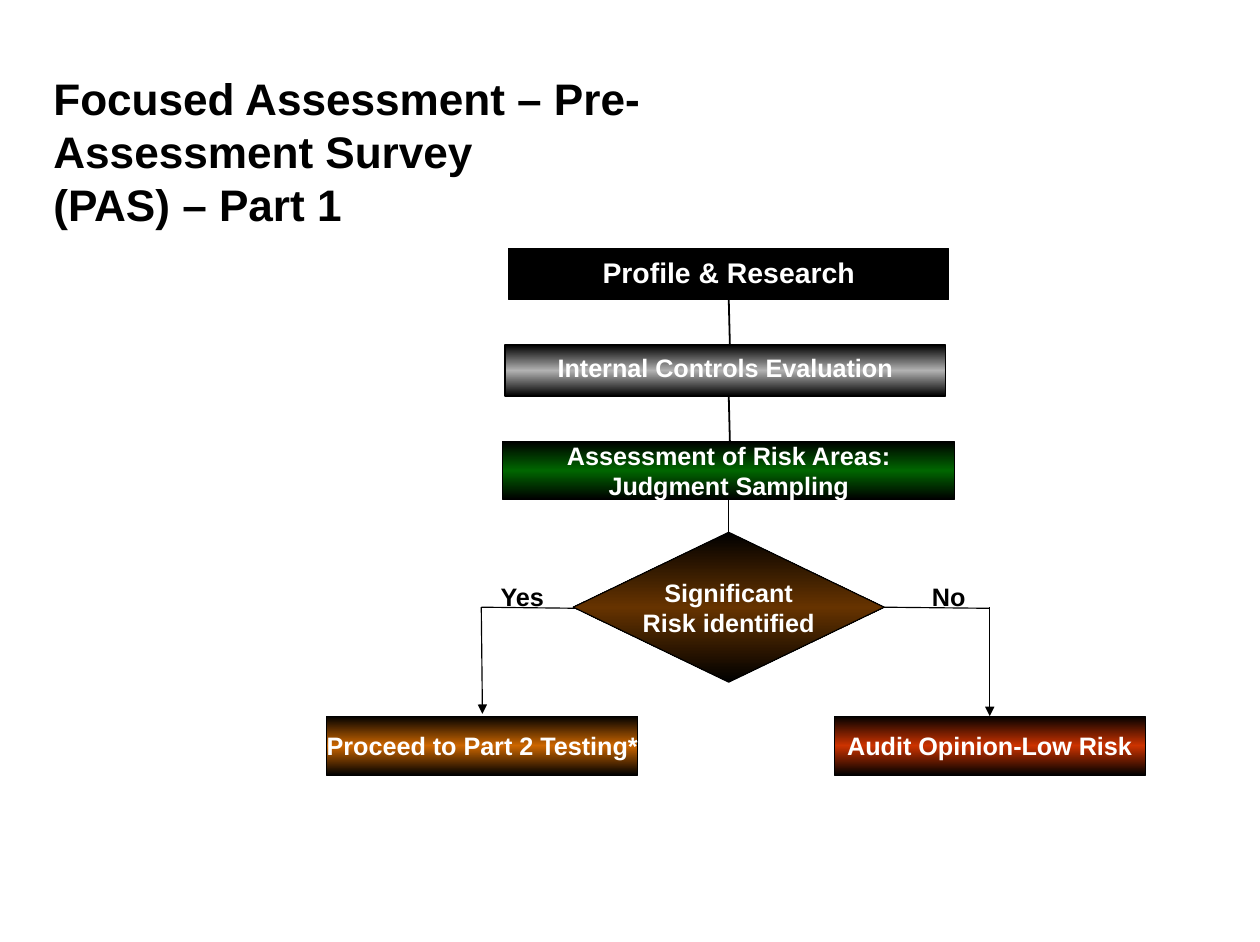
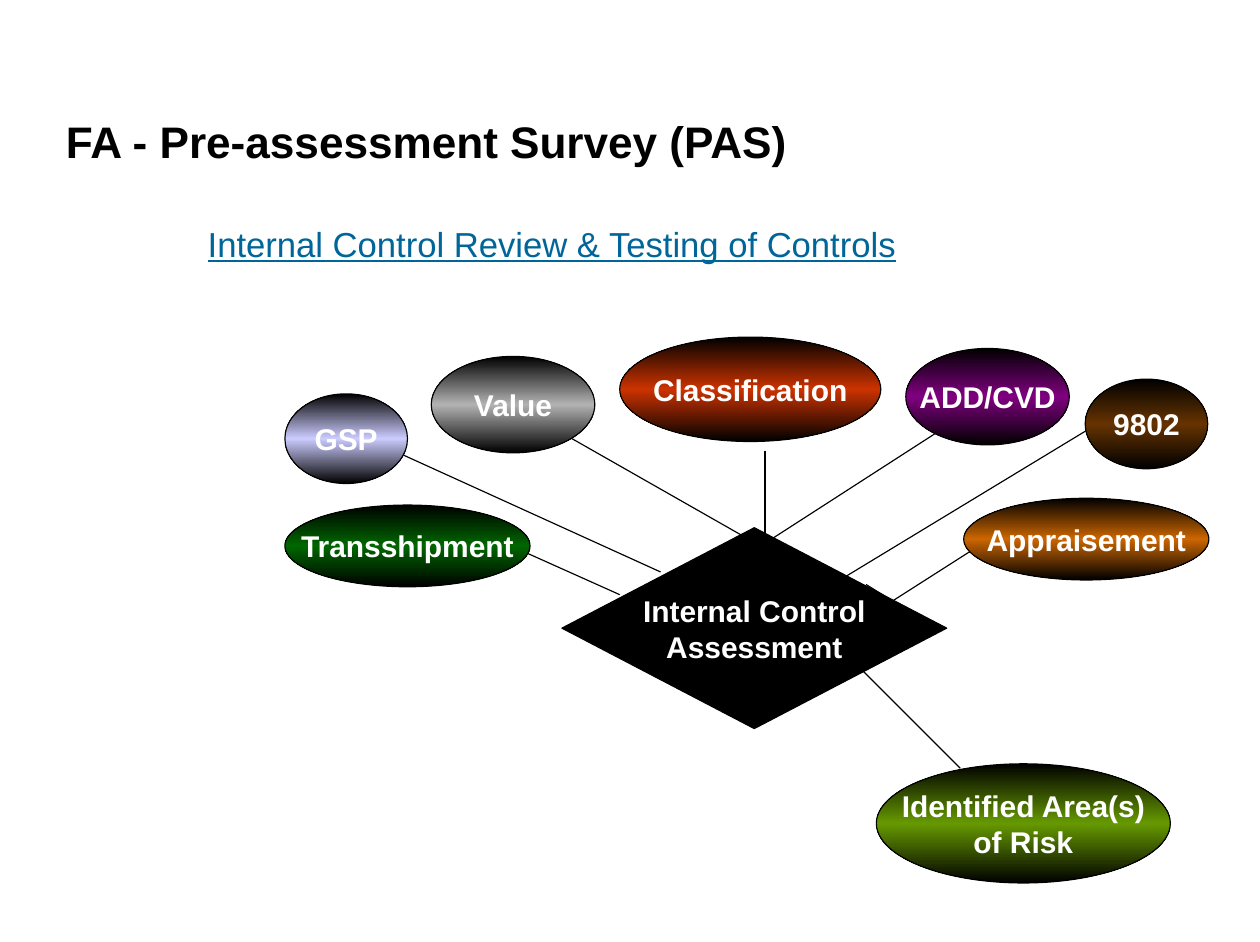
from copy import deepcopy
from dataclasses import dataclass
from typing import Optional

import pptx
import pptx.dml.color
import pptx.enum.dml
import pptx.enum.shapes
import pptx.enum.text
import pptx.oxml
import pptx.oxml.ns
import pptx.util
from lxml import etree

RGB = pptx.dml.color.RGBColor
SHAPE = pptx.enum.shapes.MSO_SHAPE
ALIGN = pptx.enum.text.PP_ALIGN
ANCHOR = pptx.enum.text.MSO_ANCHOR
AUTO = pptx.enum.text.MSO_AUTO_SIZE
qn = pptx.oxml.ns.qn

EMU_PER_PX = 9144
FONT = "Arial"
TITLE_PT = 28
STEP_PT = 16
AREA_PT = 19
INSET_X, INSET_Y = 11, 6

BLACK = RGB(0x00, 0x00, 0x00)
WHITE = RGB(0xFF, 0xFF, 0xFF)
GREY = RGB(0xB2, 0xB2, 0xB2)
GREEN = RGB(0x00, 0x66, 0x00)
BROWN = RGB(0x66, 0x33, 0x00)
ORANGE = RGB(0xCC, 0x66, 0x00)
RED = RGB(0xCC, 0x33, 0x00)
PURPLE = RGB(0x80, 0x00, 0x80)
LILAC = RGB(0xCC, 0xCC, 0xFF)
LIME = RGB(0x66, 0x99, 0x00)
LINK_BLUE = RGB(0x00, 0x66, 0x99)


@dataclass(frozen=True)
class Box:
    x: int
    y: int
    w: int
    h: int


@dataclass(frozen=True)
class TextStyle:
    size: int
    color: RGB = WHITE
    bold: bool = True
    underline: Optional[bool] = None
    align: ALIGN = ALIGN.CENTER
    anchor: ANCHOR = ANCHOR.MIDDLE
    wrap: bool = False
    inset_left: int = INSET_X


@dataclass(frozen=True)
class Node:
    box: Box
    lines: tuple[str, ...]
    color: RGB
    shape: SHAPE
    style: TextStyle
    line_pt: float = 0.75


@dataclass(frozen=True)
class Link:
    x1: int
    y1: int
    x2: int
    y2: int
    arrow: bool = False
    line_pt: float = 0.75


STEP = TextStyle(STEP_PT)
AREA = TextStyle(AREA_PT)
LABEL = TextStyle(STEP_PT, BLACK, align=ALIGN.LEFT, anchor=ANCHOR.TOP)
TITLE = TextStyle(TITLE_PT, BLACK, align=ALIGN.LEFT, wrap=True)
FLUSH_TITLE = TextStyle(TITLE_PT, BLACK, align=ALIGN.LEFT, anchor=ANCHOR.TOP,
                        wrap=True, inset_left=0)
SUBTITLE = TextStyle(22, LINK_BLUE, bold=False, underline=True,
                     align=ALIGN.LEFT, anchor=ANCHOR.TOP, wrap=True)

FLOW_LINKS = (
    Link(642, 263, 643, 304, line_pt=1.13),
    Link(642, 348, 643, 389, line_pt=1.13),
    Link(642, 425, 642, 477),
    Link(424, 535, 511, 536),
    Link(424, 535, 425, 629, arrow=True),
    Link(779, 535, 872, 536),
    Link(872, 535, 872, 631, arrow=True),
)
FLOW_NODES = (
    Node(Box(448, 219, 388, 45), ("Profile & Research",), BLACK, SHAPE.RECTANGLE,
         TextStyle(18, anchor=ANCHOR.TOP, wrap=True)),
    Node(Box(445, 304, 388, 45), ("Internal Controls Evaluation",), GREY, SHAPE.RECTANGLE,
         TextStyle(STEP_PT, anchor=ANCHOR.TOP, wrap=True), 1.13),
    Node(Box(443, 389, 398, 51), ("Assessment of Risk Areas:", "Judgment Sampling"),
         GREEN, SHAPE.RECTANGLE, STEP),
    Node(Box(505, 469, 274, 132), ("Significant", "Risk identified"),
         BROWN, SHAPE.DIAMOND, STEP),
    Node(Box(288, 631, 274, 52), ("Proceed to Part 2 Testing*",),
         ORANGE, SHAPE.RECTANGLE, STEP),
    Node(Box(735, 631, 274, 52), ("Audit Opinion-Low Risk",), RED, SHAPE.RECTANGLE, STEP),
)
AREA_LINKS = (
    Link(459, 485, 546, 524),
    Link(351, 399, 582, 504),
    Link(503, 386, 654, 472),
    Link(674, 397, 674, 490),
    Link(827, 380, 675, 478),
    Link(956, 380, 740, 511),
    Link(856, 485, 784, 531),
    Link(763, 515, 813, 546),
    Link(846, 677, 760, 591),
)
AREA_NODES = (
    Node(Box(251, 445, 216, 72), ("Transshipment",), GREEN, SHAPE.OVAL, AREA),
    Node(Box(251, 347, 108, 79), ("GSP",), LILAC, SHAPE.OVAL, AREA),
    Node(Box(380, 314, 144, 85), ("Value",), GREY, SHAPE.OVAL, AREA),
    Node(Box(546, 297, 230, 92), ("Classification",), RED, SHAPE.OVAL, AREA),
    Node(Box(798, 307, 144, 85), ("ADD/CVD",), PURPLE, SHAPE.OVAL, AREA),
    Node(Box(956, 334, 108, 79), ("9802",), BROWN, SHAPE.OVAL, AREA),
    Node(Box(849, 439, 216, 72), ("Appraisement",), ORANGE, SHAPE.OVAL, AREA),
    Node(Box(772, 673, 259, 105), ("Identified Area(s)", "of Risk"), LIME, SHAPE.OVAL, AREA),
    Node(Box(495, 465, 339, 177), ("Internal Control", "Assessment"),
         BLACK, SHAPE.FLOWCHART_DECISION, AREA),
)


def px(n: int) -> pptx.util.Emu:
    return pptx.util.Emu(n * EMU_PER_PX)


def bounds(box: Box) -> tuple:
    return px(box.x), px(box.y), px(box.w), px(box.h)


def write(sp, lines: tuple[str, ...], style: TextStyle) -> None:
    tf = sp.text_frame
    tf.auto_size = AUTO.NONE
    tf.word_wrap = style.wrap
    tf.vertical_anchor = style.anchor
    tf.margin_left, tf.margin_right = px(style.inset_left), px(INSET_X)
    tf.margin_top = tf.margin_bottom = px(INSET_Y)
    for i, line in enumerate(lines):
        p = tf.add_paragraph() if i else tf.paragraphs[0]
        p.alignment = style.align
        p.space_before = pptx.util.Pt(0)
        r = p.add_run()
        r.text = line
        r.font.name = FONT
        r.font.size = pptx.util.Pt(style.size)
        r.font.bold = style.bold
        r.font.underline = style.underline
        r.font.color.rgb = style.color


def paint(sp, color: RGB) -> None:
    if color == BLACK:
        sp.fill.solid()
        sp.fill.fore_color.rgb = BLACK
        return
    sp.fill.gradient()
    sp.fill.gradient_angle = 90
    stops = sp.element.spPr.find(".//" + qn("a:gsLst"))
    stops.insert(1, deepcopy(stops[0]))
    for stop, pos, rgb in zip(sp.fill.gradient_stops, (0, 0.5, 1), (BLACK, color, BLACK)):
        stop.position = pos
        stop.color.rgb = rgb


def add_node(s, node: Node) -> None:
    sp = s.shapes.add_shape(node.shape, *bounds(node.box))
    sp.shadow.inherit = False
    paint(sp, node.color)
    sp.line.color.rgb = BLACK
    sp.line.width = pptx.util.Pt(node.line_pt)
    write(sp, node.lines, node.style)


def add_link(s, link: Link) -> None:
    cx = s.shapes.add_connector(pptx.enum.shapes.MSO_CONNECTOR.STRAIGHT,
                                px(link.x1), px(link.y1), px(link.x2), px(link.y2))
    cx.line.color.rgb = BLACK
    cx.line.width = pptx.util.Pt(link.line_pt)
    if link.arrow:
        etree.SubElement(cx.line._get_or_add_ln(), qn("a:tailEnd"), type="triangle")
    etree.SubElement(cx.element.spPr, qn("a:effectLst"))


def add_text(s, box: Box, text: str, style: TextStyle) -> None:
    write(s.shapes.add_textbox(*bounds(box)), (text,), style)


def add_slide(prs, title: tuple[str, ...], box: Box, style: TextStyle,
              links: tuple[Link, ...], nodes: tuple[Node, ...]):
    s = prs.slides.add_slide(prs.slide_layouts[5])
    sp = s.shapes.title
    sp.left, sp.top, sp.width, sp.height = bounds(box)
    write(sp, title, style)
    for link in links:
        add_link(s, link)
    for node in nodes:
        add_node(s, node)
    return s


def main() -> None:
    prs = pptx.Presentation()
    prs.slide_width, prs.slide_height = px(1110), px(830)

    s = add_slide(prs, ("Focused Assessment – Pre-Assessment Survey", "(PAS) – Part 1"),
                  Box(47, 57, 683, 152), FLUSH_TITLE, FLOW_LINKS, FLOW_NODES)
    add_text(s, Box(430, 506, 62, 38), "Yes", LABEL)
    add_text(s, Box(810, 506, 52, 38), "No", LABEL)

    s = add_slide(prs, ("FA - Pre-assessment Survey (PAS)",),
                  Box(47, 87, 696, 74), TITLE, AREA_LINKS, AREA_NODES)
    add_text(s, Box(172, 190, 649, 48), "Internal Control Review & Testing of Controls", SUBTITLE)

    prs.save("out.pptx")


if __name__ == "__main__":
    main()
